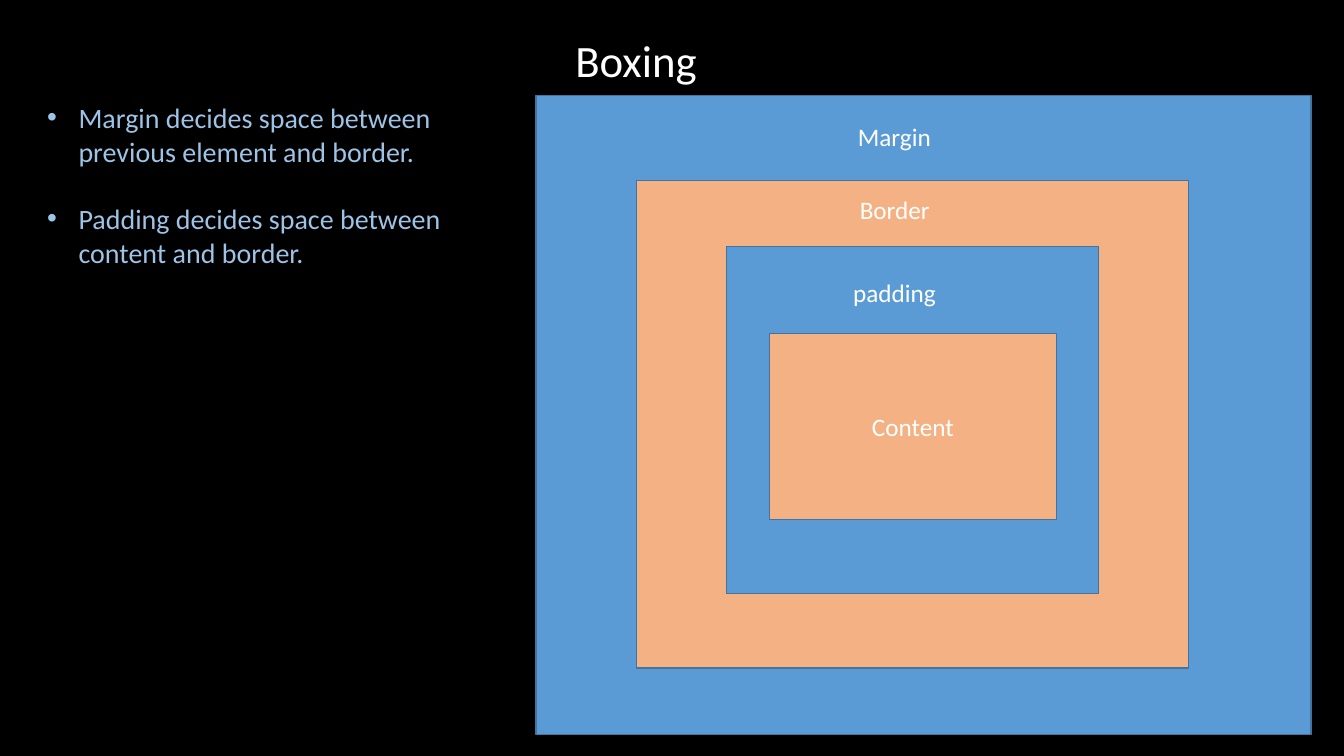
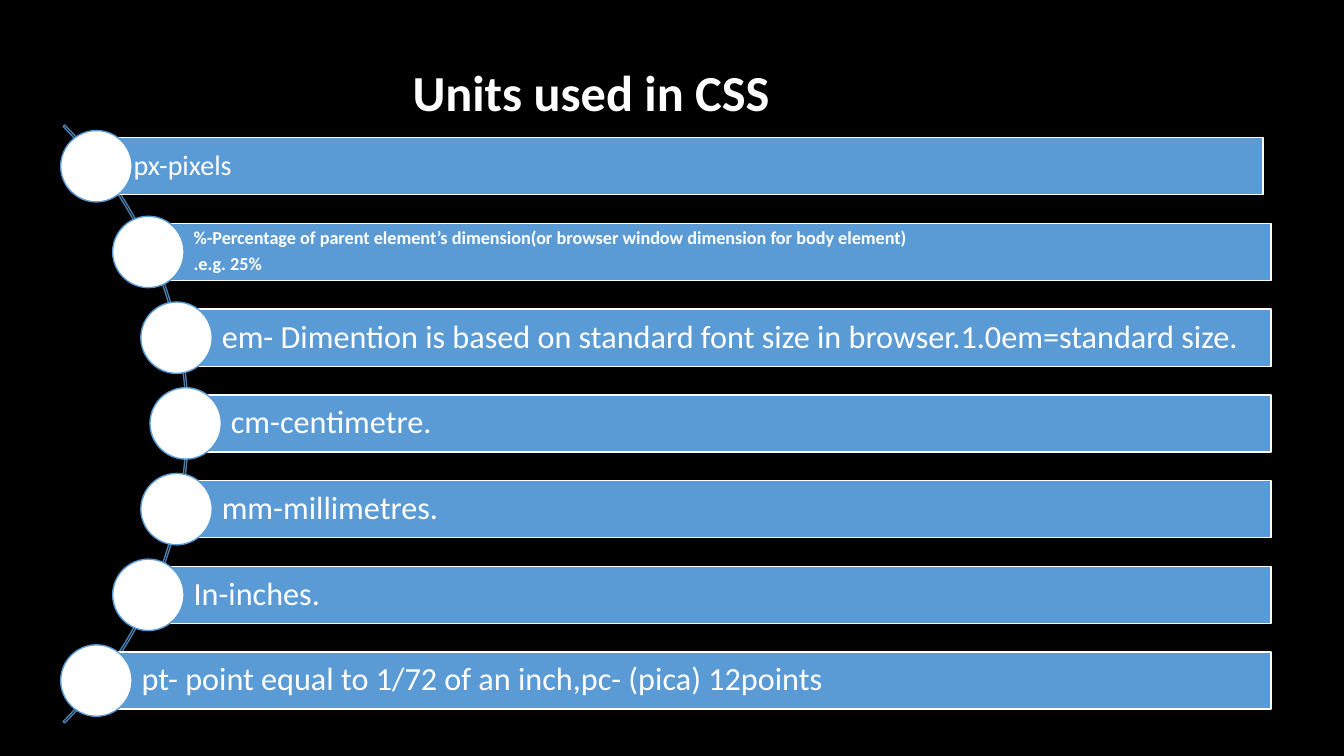
from pptx import Presentation
from pptx.dml.color import RGBColor
from pptx.enum.shapes import MSO_SHAPE
from pptx.enum.text import MSO_ANCHOR, PP_ALIGN
from pptx.util import Cm, Pt
from lxml.etree import SubElement
from pptx.oxml.ns import qn

BLACK, WHITE = "000000", "FFFFFF"
BLUE, DARK_BLUE, PALE_BLUE, ARC_BLUE = "5B9BD5", "43739E", "9DC3E6", "497CAB"
ORANGE = "F4B183"


def paint(target, color):
    if hasattr(target, "solid"):
        target.solid()
        target.fore_color.rgb = RGBColor.from_string(color)
    else:
        target.color.rgb = RGBColor.from_string(color)


def write(part, lines, size, color=WHITE, bold=False, align=PP_ALIGN.LEFT, spacing=1.0):
    frame = part.text_frame
    frame.word_wrap = True
    for number, line in enumerate(lines):
        paragraph = frame.add_paragraph() if number else frame.paragraphs[0]
        paragraph.alignment = align
        paragraph.line_spacing = spacing
        run = paragraph.add_run()
        run.text = line
        run.font.name = "Calibri"
        run.font.size = Pt(size)
        run.font.bold = bold
        paint(run.font, color)
    return frame


deck = Presentation()
deck.slide_width, deck.slide_height = Cm(33.87), Cm(19.05)
boxing, units = [deck.slides.add_slide(deck.slide_layouts[6]) for _ in range(2)]
for slide in (boxing, units):
    paint(slide.background.fill, BLACK)

boxing_title = boxing.shapes.add_textbox(Cm(14.25), Cm(0.46), Cm(18.26), Cm(2.26))
write(boxing_title, ["Boxing"], 32, spacing=0.9).vertical_anchor = MSO_ANCHOR.MIDDLE

layers = [
    (13.51, 2.41, 19.53, 16.1, BLUE),
    (16.04, 4.55, 13.91, 12.28, ORANGE),
    (18.31, 6.22, 9.37, 8.74, BLUE),
    (19.39, 8.4, 7.23, 4.69, ORANGE),
]
for left, top, width, height, color in layers:
    layer = boxing.shapes.add_shape(
        MSO_SHAPE.RECTANGLE, Cm(left), Cm(top), Cm(width), Cm(height))
    layer.shadow.inherit = False
    paint(layer.fill, color)
    paint(layer.line, DARK_BLUE)
    layer.line.width = Pt(1)
write(layer, ["Content"], 18, align=PP_ALIGN.CENTER).vertical_anchor = MSO_ANCHOR.MIDDLE

layer_labels = [
    ("Margin", 16.48, 2.92, 12.12),
    ("Border", 17.57, 4.78, 9.96),
    ("padding", 18.92, 6.87, 7.24),
]
for label, left, top, width in layer_labels:
    layer_label = boxing.shapes.add_textbox(Cm(left), Cm(top), Cm(width), Cm(1.02))
    write(layer_label, [label], 18, align=PP_ALIGN.CENTER)

rules = boxing.shapes.add_textbox(Cm(0.94), Cm(2.41), Cm(12.01), Cm(4.52))
rules_frame = write(rules, [
    "Margin decides space between previous element and border.",
    "Padding decides space between content and border.",
], 20, PALE_BLUE)
for rule in rules_frame.paragraphs:
    properties = rule._p.get_or_add_pPr()
    properties.set("marL", str(Cm(0.79)))
    properties.set("indent", str(-Cm(0.79)))
    SubElement(properties, qn("a:buFont")).set("typeface", "Arial")
    SubElement(properties, qn("a:buChar")).set("char", "•")
rules_frame.paragraphs[1].space_before = Pt(24)

arc = units.shapes.add_shape(
    MSO_SHAPE.BLOCK_ARC, Cm(-16.56), Cm(0.03), Cm(21.31), Cm(21.31))
for number, value in enumerate((189, 27, 0.0026)):
    arc.adjustments[number] = value
arc.shadow.inherit = False
arc.fill.background()
paint(arc.line, ARC_BLUE)
arc.line.width = Pt(1)

unit_rows = [
    (["px-pixels"], 20),
    (["%-Percentage of parent element’s dimension(or browser window dimension for body element)",
      ".e.g. 25%"], 13),
    (["em- Dimention is based on standard font size in browser.1.0em=standard size."], 23),
    (["cm-centimetre."], 23),
    (["mm-millimetres."], 23),
    (["In-inches."], 23),
    (["pt- point equal to 1/72 of an inch,pc- (pica) 12points"], 23),
]
dot_lefts = [1.53, 2.84, 3.55, 3.78, 3.55, 2.84, 1.53]
DOT, BAR_HEIGHT, BAR_RIGHT, FIRST_TOP, PITCH = 1.8, 1.44, 32.03, 3.29, 2.16

for row, ((lines, size), dot_left) in enumerate(zip(unit_rows, dot_lefts)):
    dot_top = FIRST_TOP + row * PITCH
    bar_left = dot_left + DOT / 2
    shift = 0 if row else -0.2
    bar = units.shapes.add_shape(
        MSO_SHAPE.RECTANGLE, Cm(bar_left + shift), Cm(dot_top + (DOT - BAR_HEIGHT) / 2),
        Cm(BAR_RIGHT - bar_left), Cm(BAR_HEIGHT))
    dot = units.shapes.add_shape(
        MSO_SHAPE.OVAL, Cm(dot_left), Cm(dot_top), Cm(DOT), Cm(DOT))
    for part, fill, outline in ((bar, BLUE, WHITE), (dot, WHITE, BLUE)):
        part.shadow.inherit = False
        paint(part.fill, fill)
        paint(part.line, outline)
        part.line.width = Pt(1)
    bar_frame = write(bar, lines, size, bold=len(lines) > 1, spacing=0.9)
    bar_frame.vertical_anchor = MSO_ANCHOR.MIDDLE
    bar_frame.margin_left = Cm(1.14)
    bar_frame.margin_right = bar_frame.margin_top = bar_frame.margin_bottom = Cm(0.1)
    for paragraph in bar_frame.paragraphs[:-1]:
        paragraph.space_after = Pt(4.5)

units_title = units.shapes.add_textbox(Cm(3.66), Cm(1.42), Cm(22.48), Cm(1.8))
write(units_title, ["Units used in CSS"], 36, bold=True, align=PP_ALIGN.CENTER)

deck.save("out.pptx")
